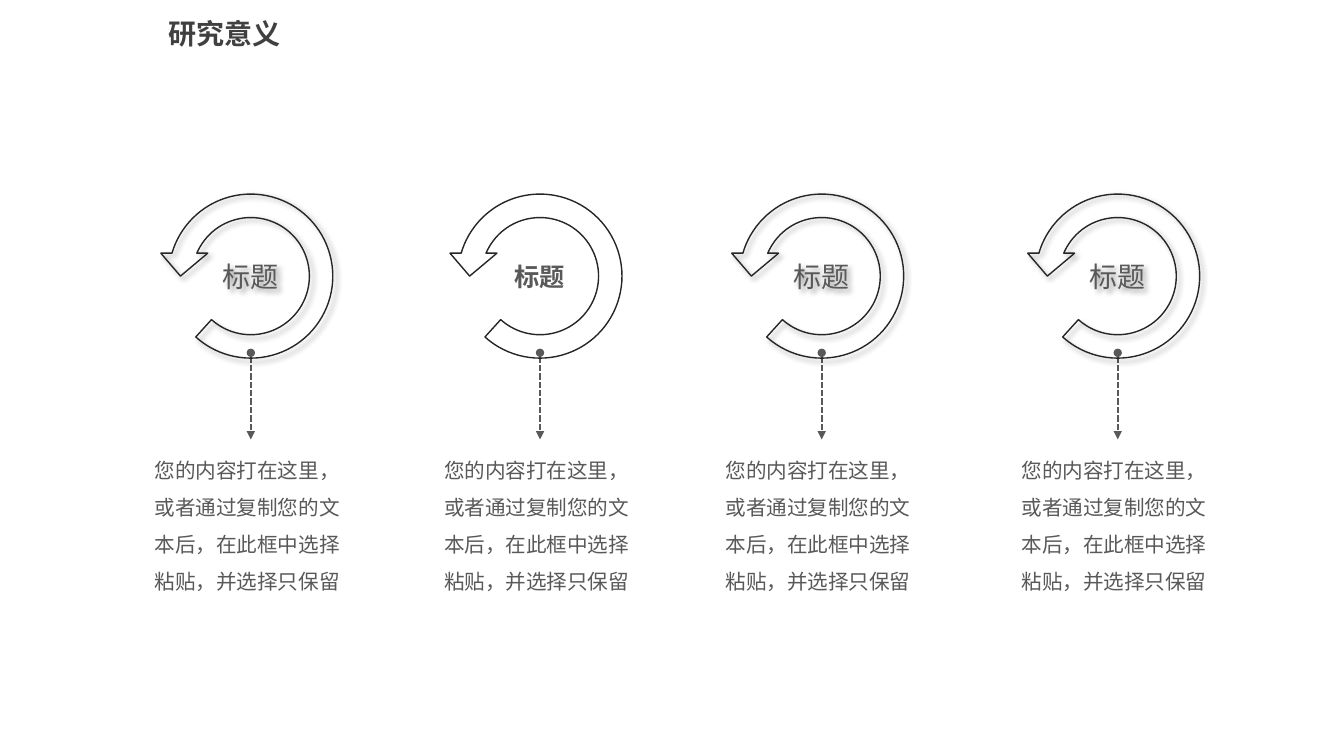
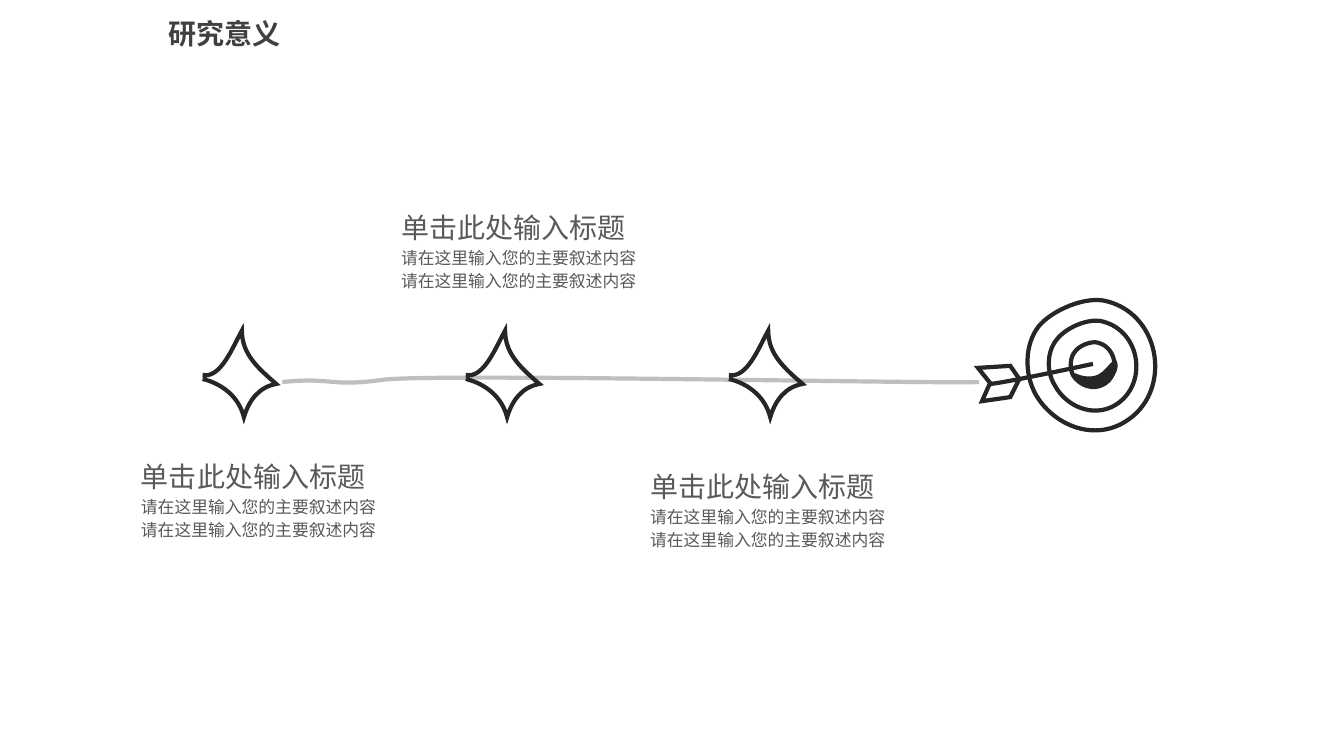
from math import cos, radians, sin

from lxml.etree import SubElement
from pptx import Presentation
from pptx.dml.color import RGBColor
from pptx.enum.dml import MSO_LINE
from pptx.enum.lang import MSO_LANGUAGE_ID as Language
from pptx.enum.shapes import MSO_CONNECTOR as Connector, MSO_SHAPE as Shape
from pptx.enum.text import MSO_ANCHOR as Anchor, MSO_AUTO_SIZE as AutoSize, PP_ALIGN as Align
from pptx.oxml.ns import qn
from pptx.util import Inches, Pt

# Square grid: 75 rows over the slide height, columns of the same size.
SLIDE_WIDTH, SLIDE_HEIGHT = Inches(13.33), Inches(7.5)
CELL = SLIDE_HEIGHT / 75

FONT = "Noto Sans CJK SC"
TITLE_COLOR = RGBColor(0x40, 0x40, 0x40)
TEXT_COLOR = RGBColor(0x59, 0x59, 0x59)
INK = RGBColor(0x26, 0x26, 0x26)
TRACK_COLOR = RGBColor(0xBF, 0xBF, 0xBF)
WHITE = RGBColor(0xFF, 0xFF, 0xFF)
BLACK = "000000"

TITLE = "研究意义"
RING_LABEL = "标题"
RING_TEXT = "您的内容打在这里，或者通过复制您的文本后，在此框中选择粘贴，并选择只保留"
STEP_TITLE = "单击此处输入标题"
STEP_TEXT = "请在这里输入您的主要叙述内容"

RING_CENTERS = [24.88, 53.56, 81.5, 110.86]
RING_SIZE = 18.6
PLAIN_RING = 1

STAR_STEP = 26.1
STEP_CORNERS = [(63.5, 46.1), (38.8, 20.4), (13, 45.1)]
TRACK_TURN = 105
TARGET_TURN = 34.8

# Curved outlines: a start point, then three points for each cubic segment.
TRACK = [(28, 37.9), (33, 37.4), (32.7, 38.4), (37.8, 37.7),
         (42.3, 37), (92.6, 38.1), (97.1, 37.9)]
STAR = [(20.1, 37.2), (21.9, 37.6), (23.1, 34.4), (24, 32.8),
        (24, 35.2), (25.7, 36.6), (27.4, 38.1),
        (25.7, 38.4), (24.7, 39.7), (24.2, 41.4),
        (23.7, 39.4), (22.1, 38.1), (20.1, 37.6)]
CRESCENT = [(106.6, 37.2), (106.5, 37.7), (107.5, 38.2), (107.8, 38.3),
            (108.4, 38.5), (109, 38.5), (109.5, 38.2),
            (110.2, 37.8), (111.2, 36.5), (110.6, 35.7),
            (110, 36.2), (109.6, 36.9), (109, 37.2),
            (108.2, 37.6), (107.3, 37.4), (106.6, 37.1),
            (106.6, 37.1), (106.6, 37.2), (106.6, 37.2)]
TARGET_RINGS = [
    [(102.7, 39.1), (104.4, 42.1), (108.3, 43.8), (111.5, 41.9),
     (116.3, 39.1), (115.3, 31.3), (109.8, 29.9),
     (107.7, 29.3), (104.3, 30.8), (103, 32.4),
     (101.6, 34.2), (101.6, 37.1), (102.7, 39.1)],
    [(104.6, 38.2), (105.7, 40.3), (108.4, 41.5), (110.6, 40.2),
     (113.9, 38.2), (113.2, 32.9), (109.4, 31.9),
     (108, 31.5), (105.7, 32.5), (104.8, 33.7),
     (103.8, 34.9), (103.8, 36.9), (104.6, 38.2)],
    [(106.4, 37.2), (107, 38.2), (108.4, 38.8), (109.5, 38.1),
     (111.1, 37.2), (110.8, 34.5), (108.9, 34),
     (108.2, 33.8), (107, 34.3), (106.6, 34.9),
     (106.1, 35.5), (106.1, 36.5), (106.4, 37.2)],
]
ARROW_SHAFT = [(108.4, 36.1), (108.4, 36.1), (100.1, 37.9), (98.2, 38.1)]
# Straight outline: corner points only.
FLETCHING = [(98.2, 38), (97, 36.5), (100.2, 36.3), (101.1, 37.6),
             (100.2, 39.4), (97.4, 39.8), (98.2, 38)]


def grid(*cells):
    return [round(cell * CELL) for cell in cells]


def write(paragraph, text, size, color=TEXT_COLOR, bold=False):
    run = paragraph.add_run()
    run.text = text
    font = run.font
    font.name, font.size, font.bold = FONT, Pt(size), bold
    font.color.rgb = color
    font.language_id = Language.SIMPLIFIED_CHINESE
    SubElement(run._r.get_or_add_rPr(), qn("a:ea"), typeface=FONT)


def add_text(slide, left, top, width, height, lines, line_spacing=None):
    """Each line is (text, size); later lines stand a fifth of their size apart."""
    frame = slide.shapes.add_textbox(*grid(left, top, width, height)).text_frame
    frame.word_wrap = True
    frame.auto_size = AutoSize.SHAPE_TO_FIT_TEXT
    for index, (text, size) in enumerate(lines):
        paragraph = frame.add_paragraph() if index else frame.paragraphs[0]
        paragraph.line_spacing = line_spacing
        if index:
            paragraph.space_before = Pt(size / 5)
        write(paragraph, text, size)


def add_titled_slide(presentation):
    slide = presentation.slides.add_slide(presentation.slide_layouts[5])
    title = slide.shapes.title
    title.left, title.top, title.width, title.height = grid(15.7, 1.1, 19.3, 4.4)
    frame = title.text_frame
    frame.auto_size = AutoSize.SHAPE_TO_FIT_TEXT
    frame.vertical_anchor = Anchor.TOP
    paragraph = frame.paragraphs[0]
    paragraph.alignment = Align.LEFT
    write(paragraph, TITLE, 20, TITLE_COLOR, bold=True)
    return slide


def style_line(shape, color, width):
    shape.line.color.rgb = color
    shape.line.width = Pt(width)


def add_pointer(slide, center):
    """Dashed line from a dot on the ring down to its text."""
    pointer = slide.shapes.add_connector(Connector.STRAIGHT, *grid(center, 35, center, 43.6))
    style_line(pointer, TEXT_COLOR, 1.5)
    pointer.line.dash_style = MSO_LINE.SQUARE_DOT
    outline = pointer.element.spPr.find(qn("a:ln"))
    outline.find(qn("a:prstDash")).set("val", "sysDash")
    SubElement(outline, qn("a:headEnd"), type="oval")
    SubElement(outline, qn("a:tailEnd"), type="triangle")
    SubElement(pointer.element.spPr, qn("a:effectLst"))


def add_soft_shadow(shape):
    effects = shape.element.spPr.find(qn("a:effectLst"))
    shadow = SubElement(effects, qn("a:outerShdw"), blurRad=str(Pt(4)), dist=str(Pt(3)),
                        dir="2700000", algn="tl", rotWithShape="0")
    color = SubElement(shadow, qn("a:srgbClr"), val=BLACK)
    SubElement(color, qn("a:alpha"), val="40000")


def add_ring(slide, center, plain):
    ring = slide.shapes.add_shape(
        Shape.CIRCULAR_ARROW, *grid(center - RING_SIZE / 2, 18.1, RING_SIZE, RING_SIZE))
    ring.adjustments[3] = 28.75
    ring.element.spPr.get_or_add_xfrm().set("flipH", "1")
    ring.fill.background()
    style_line(ring, INK, 1)
    ring.shadow.inherit = False
    if not plain:
        add_soft_shadow(ring)
    frame = ring.text_frame
    frame.word_wrap = not plain
    frame.vertical_anchor = Anchor.MIDDLE
    paragraph = frame.paragraphs[0]
    paragraph.alignment = Align.CENTER
    write(paragraph, RING_LABEL, 18 if plain else 20, bold=plain)


def rotate(point, degrees):
    x, y = point
    cosine, sine = cos(radians(degrees)), sin(radians(degrees))
    return x * cosine - y * sine, x * sine + y * cosine


def curve_bounds(points, steps=24):
    """Extent of a chain of cubic segments, without the loose control points."""
    samples = []
    for first in range(0, len(points) - 1, 3):
        for step in range(steps + 1):
            t = step / steps
            weights = ((1 - t) ** 3, 3 * t * (1 - t) ** 2, 3 * t * t * (1 - t), t ** 3)
            samples.append([sum(weight * value for weight, value in zip(weights, axis))
                            for axis in zip(*points[first:first + 4])])
    return corners(samples)


def corners(points):
    axes = list(zip(*points))
    return [min(axis) for axis in axes], [max(axis) for axis in axes]


def add_outline(shapes, points, color=INK, width=3, turn=0, curved=True, close=False, fill=None):
    """Outline whose points show where it lies once its frame is turned."""
    level = [rotate(point, -turn) for point in points]
    low, high = curve_bounds(level) if curved else corners(level)
    middle = [(start + end) / 2 for start, end in zip(low, high)]
    shift = [turned - flat for turned, flat in zip(rotate(middle, turn), middle)]
    top_left, bottom_right = (grid(*(value + move for value, move in zip(corner, shift)))
                              for corner in (low, high))
    builder = shapes.build_freeform(*top_left, scale=1.0)
    builder.add_line_segments([bottom_right], close=False)
    outline = builder.convert_to_shape()
    outline.rotation = turn
    draw_segments(outline, [grid(x - low[0], y - low[1]) for x, y in level], curved, close)
    if fill is None:
        outline.fill.background()
    else:
        outline.fill.solid()
        outline.fill.fore_color.rgb = fill
    style_line(outline, color, width)
    SubElement(outline.element.spPr.find(qn("a:ln")), qn("a:miter"), lim="800000")
    outline.shadow.inherit = False


def draw_segments(outline, points, curved, close):
    """Replace the diagonal that sets the frame by the real segments."""
    route = outline.element.spPr.find(".//" + qn("a:path"))
    for child in list(route):
        route.remove(child)
    if not close:
        route.set("fill", "none")
    tag, count = ("a:cubicBezTo", 3) if curved else ("a:lnTo", 1)
    segments = [("a:moveTo", points[:1])]
    segments += [(tag, points[first:first + count]) for first in range(1, len(points), count)]
    for name, ends in segments:
        segment = SubElement(route, qn(name))
        for x, y in ends:
            SubElement(segment, qn("a:pt"), x=str(x), y=str(y))
    if close:
        SubElement(route, qn("a:close"))


def add_target(slide):
    shapes = slide.shapes.add_group_shape().shapes
    add_outline(shapes, CRESCENT, width=1, turn=TARGET_TURN, close=True, fill=INK)
    for ring in TARGET_RINGS:
        add_outline(shapes, ring, turn=TARGET_TURN, close=True)
    add_outline(shapes, FLETCHING, turn=TARGET_TURN, curved=False, close=True)
    add_outline(shapes, ARROW_SHAFT, turn=TARGET_TURN)


def build_rings_slide(presentation):
    slide = add_titled_slide(presentation)
    for center in RING_CENTERS:
        add_pointer(slide, center)
    for index, center in enumerate(RING_CENTERS):
        add_ring(slide, center, plain=index == PLAIN_RING)
        add_text(slide, center - 10.5, 43.7, 20.6, 15.8, [(RING_TEXT, 14.67)], line_spacing=1.5)


def build_target_slide(presentation):
    slide = add_titled_slide(presentation)
    add_outline(slide.shapes, TRACK, TRACK_COLOR, turn=TRACK_TURN)
    add_target(slide)
    for index in range(len(STEP_CORNERS)):
        star = [(x + index * STAR_STEP, y) for x, y in STAR]
        add_outline(slide.shapes, star, fill=WHITE if index else None)
    for left, top in STEP_CORNERS:
        add_text(slide, left, top, 29.4, 9.2, [(STEP_TITLE, 20)] + [(STEP_TEXT, 12)] * 2)


def main():
    presentation = Presentation()
    presentation.slide_width, presentation.slide_height = SLIDE_WIDTH, SLIDE_HEIGHT
    build_rings_slide(presentation)
    build_target_slide(presentation)
    presentation.save("out.pptx")


if __name__ == "__main__":
    main()
